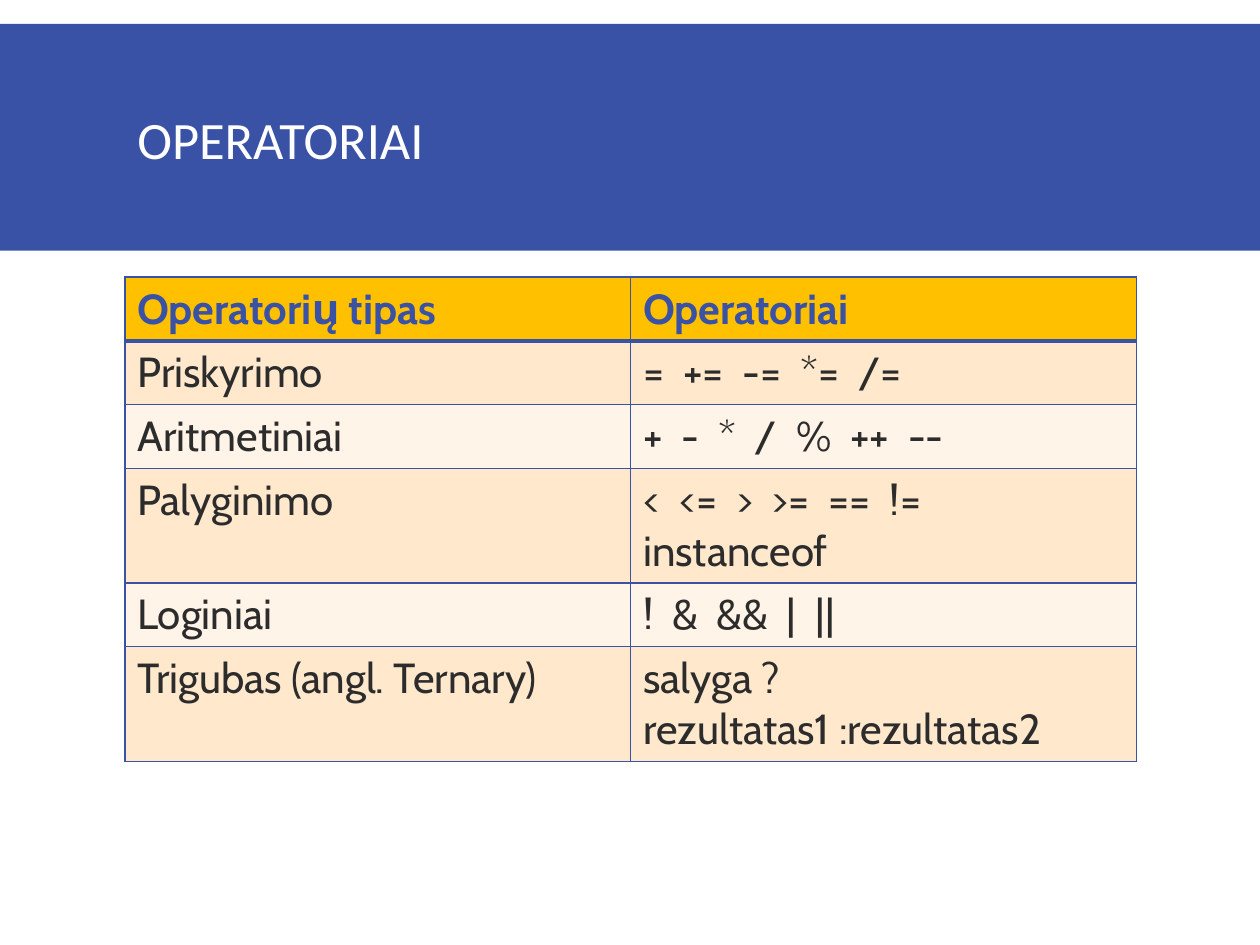
from lxml import etree
from pptx import Presentation
from pptx import util as u
from pptx.dml.color import RGBColor
from pptx.enum import shapes, text
from pptx.oxml import ns

BLUE, WHITE, GOLD, DARK = "3952A6", "FFFFFF", "FFC000", "2C2C2C"
BANDS = ["FFE8CC", "FFF4E7"]
ROWS = [
    ("Operatorių tipas", "Operatoriai"),
    ("Priskyrimo", "=  +=  -=  *=  /="),
    ("Aritmetiniai", "+  -  *  /  %  ++  --"),
    ("Palyginimo", "<  <=  >  >=  ==  !=  instanceof"),
    ("Loginiai", "!  &  &&  |  ||"),
    ("Trigubas (angl. Ternary)", "salyga ? rezultatas1 :rezultatas2"),
]


def paint(target, color):
    if hasattr(target, "solid"):
        target.solid()
        target = target.fore_color
    target.rgb = RGBColor.from_string(color)


def add_border(cell, side, points):
    line = etree.SubElement(cell._tc.get_or_add_tcPr(), ns.qn(f"a:ln{side}"), w=str(u.Pt(points)))
    fill = etree.SubElement(line, ns.qn("a:solidFill"))
    etree.SubElement(fill, ns.qn("a:srgbClr"), val=BLUE)


deck = Presentation()
deck.slide_width, deck.slide_height = u.Inches(10), u.Inches(7.5)
page = deck.slides.add_slide(deck.slide_layouts[5])

band = page.shapes.add_shape(
    shapes.MSO_SHAPE.RECTANGLE, u.Inches(0), u.Inches(0.19), u.Inches(10), u.Inches(1.8))
band.shadow.inherit = False
paint(band.fill, BLUE)
band.line.fill.background()

title = page.shapes.title
band._element.addnext(title._element)
place = {"left": 0.99, "top": 0.31, "width": 8.03, "height": 1.65}
for name, value in place.items():
    setattr(title, name, u.Inches(value))
frame = title.text_frame
frame.text = "OPERATORIAI"
frame.word_wrap = True
frame.auto_size = text.MSO_AUTO_SIZE.NONE
frame.vertical_anchor = text.MSO_ANCHOR.MIDDLE
para = frame.paragraphs[0]
para.alignment = text.PP_ALIGN.LEFT
para.line_spacing = 0.85
for name, value in {"name": "Calibri", "size": u.Pt(30), "bold": False}.items():
    setattr(para.runs[0].font, name, value)
paint(para.runs[0].font.color, WHITE)

table = page.shapes.add_table(
    len(ROWS), 2, u.Inches(0.99), u.Inches(2.2), u.Inches(8.03), u.Inches(2.43)).table
for row_index, words in enumerate(ROWS):
    header = row_index == 0
    for column_index, word in enumerate(words):
        cell = table.cell(row_index, column_index)
        cell.text = word
        span = cell.text_frame.paragraphs[0].runs[0]
        for name, value in {"name": "Cabin", "size": u.Pt(24), "bold": header}.items():
            setattr(span.font, name, value)
        paint(span.font.color, BLUE if header else DARK)
        for side in "LRTB":
            thick = (header and side == "B") or (row_index == 1 and side == "T")
            add_border(cell, side, 3 if thick else 1)
        paint(cell.fill, GOLD if header else BANDS[(row_index - 1) % 2])

deck.save("out.pptx")
